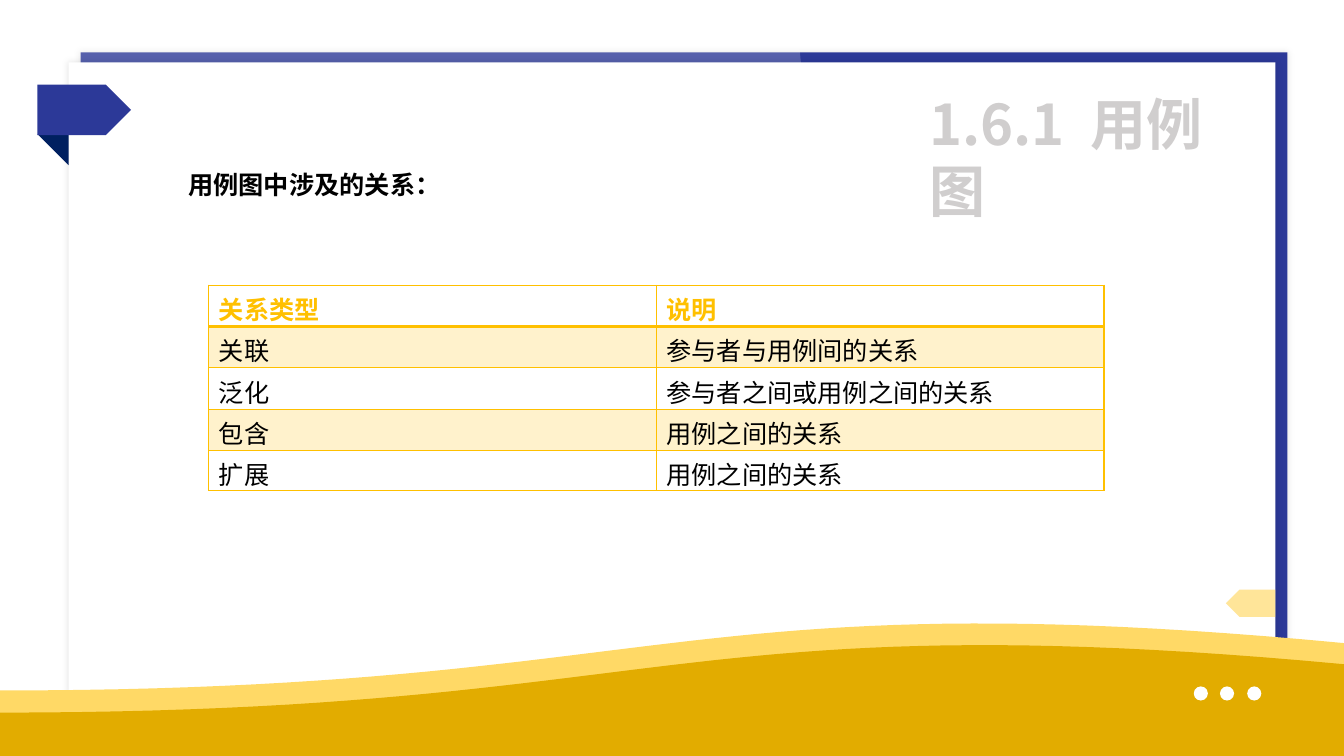
from lxml.etree import SubElement
from pptx import Presentation
from pptx.dml.color import RGBColor
from pptx.enum.shapes import MSO_SHAPE
from pptx.enum.text import MSO_ANCHOR, MSO_AUTO_SIZE
from pptx.oxml import parse_xml
from pptx.oxml.ns import nsdecls, qn
from pptx.util import Pt

# Content
HEAD = "用例图中涉及的关系："
TITLE = ["1.6.1", " ", "用例图"]
ROWS = [
    ("关系类型", "说明"),
    ("关联", "参与者与用例间的关系"),
    ("泛化", "参与者之间或用例之间的关系"),
    ("包含", "用例之间的关系"),
    ("扩展", "用例之间的关系"),
]

# Style: 100 px to the inch
PX = 9144
WIDE, HIGH = 1333, 750
FONT = "Noto Sans CJK SC"
HUE = {
    "white": "FFFFFF", "black": "000000", "blue": "2C3998", "navy": "002060",
    "gold": "FFC000", "pale": "FFD966", "ochre": "E2AC00", "grey": "D0CECE",
}

deck = Presentation()
deck.slide_width, deck.slide_height = WIDE * PX, HIGH * PX
slide = deck.slides.add_slide(deck.slide_layouts[6])
shapes = slide.shapes


def emu(*nums):
    return [n * PX for n in nums]


def tint(fill, hue, alpha=100):
    fill.solid()
    fill.fore_color.rgb = RGBColor.from_string(HUE[hue])
    if alpha < 100:
        node = fill._xPr.find(qn("a:solidFill"))[0]
        SubElement(node, qn("a:alpha"), val=str(alpha * 1000))


def paint(shape, hue, alpha=100):
    shape.shadow.inherit = False
    shape.line.fill.background()
    tint(shape.fill, hue, alpha)
    return shape


def draw(kind, box, hue, alpha=100):
    return paint(shapes.add_shape(kind, *emu(*box)), hue, alpha)


def glow(shape):
    node = shape._element.spPr.find(qn("a:effectLst"))
    node.append(parse_xml(
        f'<a:outerShdw {nsdecls("a")} blurRad="{Pt(5)}" dist="0" dir="0">'
        f'<a:srgbClr val="{HUE["black"]}"><a:alpha val="10000"/></a:srgbClr>'
        '</a:outerShdw>'))


def wave(left, mid, low, right, hue, steps=48):
    """Band under a cubic curve, down to the foot of the slide."""
    ctrl = [(0, left), (667, left), (667, mid), (WIDE, right)]
    dots = []
    for i in range(steps + 1):
        t = i / steps
        mix = [(1 - t) ** 3, 3 * t * (1 - t) ** 2, 3 * t * t * (1 - t), t ** 3]
        dots.append([round(sum(m * c[k] for m, c in zip(mix, ctrl)) * PX)
                     for k in (0, 1)])
    form = shapes.build_freeform(0, low * PX, scale=1)
    form.add_line_segments(dots + [emu(WIDE, low)], close=True)
    paint(form.convert_to_shape(), hue)


def write(para, text, size, hue, bold=True):
    run = para.add_run()
    run.text = text
    font = run.font
    font.size, font.bold, font.name = Pt(size), bold, FONT
    font.color.rgb = RGBColor.from_string(HUE[hue])
    SubElement(run._r.get_or_add_rPr(), qn("a:ea"), typeface=FONT)
    return run


def label(box, parts, size, hue, wrap):
    frame = shapes.add_textbox(*emu(*box)).text_frame
    frame.word_wrap = wrap
    frame.auto_size = MSO_AUTO_SIZE.SHAPE_TO_FIT_TEXT
    return [write(frame.paragraphs[0], part, size, hue) for part in parts]


def edge(cell, sizes):
    props = cell._tc.get_or_add_tcPr()
    for i, (side, size) in enumerate(zip("LRTB", sizes)):
        props.insert(i, parse_xml(
            f'<a:ln{side} {nsdecls("a")} w="{Pt(size)}"><a:solidFill>'
            f'<a:srgbClr val="{HUE["gold"]}"/></a:solidFill></a:ln{side}>'))


# Framed page
glow(draw(MSO_SHAPE.RECTANGLE, (80, 52, 1197, 627), "blue"))
sheen = draw(MSO_SHAPE.FLOWCHART_DOCUMENT, (119, -118, 749, 987), "white", 20)
sheen.rotation = 270
glow(draw(MSO_SHAPE.RECTANGLE, (68, 62, 1197, 627), "white"))

# Waves and dots
wave(685, 575, HIGH, 638, "pale")
wave(707, 597, HIGH, 659, "ochre")
for x in (1184, 1210, 1237):
    draw(MSO_SHAPE.OVAL, (x, 681, 14, 14), "white")

# Ribbon and side tab
fold = draw(MSO_SHAPE.RIGHT_TRIANGLE, (37, 133, 31, 31), "navy")
draw(MSO_SHAPE.PENTAGON, (37, 84, 93, 50), "blue")
tab = draw(MSO_SHAPE.PENTAGON, (1216, 585, 49, 27), "gold", 40)
for shape, flips in ((fold, ("flipH", "flipV")), (tab, ("flipH",))):
    for flip in flips:
        shape._element.spPr.xfrm.set(flip, "1")

# Headings, with a widened gap after the number
label((177, 163, 273, 40), [HEAD], 18, "black", False)
runs = label((912, 84, 337, 77), TITLE, 40, "grey", True)
runs[1]._r.rPr.set("spc", "900")

# Table of relations
grid = shapes.add_table(len(ROWS), 2, *emu(207, 283, 888, 204)).table
grid.first_row = grid.horz_banding = False
for col in grid.columns:
    col.width = 444 * PX
for r, row in enumerate(ROWS):
    top = r == 0
    grid.rows[r].height = (40 if r == len(ROWS) - 1 else 41) * PX
    for c, text in enumerate(row):
        cell = grid.cell(r, c)
        cell.vertical_anchor = MSO_ANCHOR.TOP
        if r % 2:
            tint(cell.fill, "gold", 20)
        else:
            cell.fill.background()
        edge(cell, (1, 1, 2 if r == 1 else 1, 2 if top else 1))
        write(cell.text_frame.paragraphs[0], text, 18,
              "gold" if top else "black", top)

deck.save("out.pptx")
